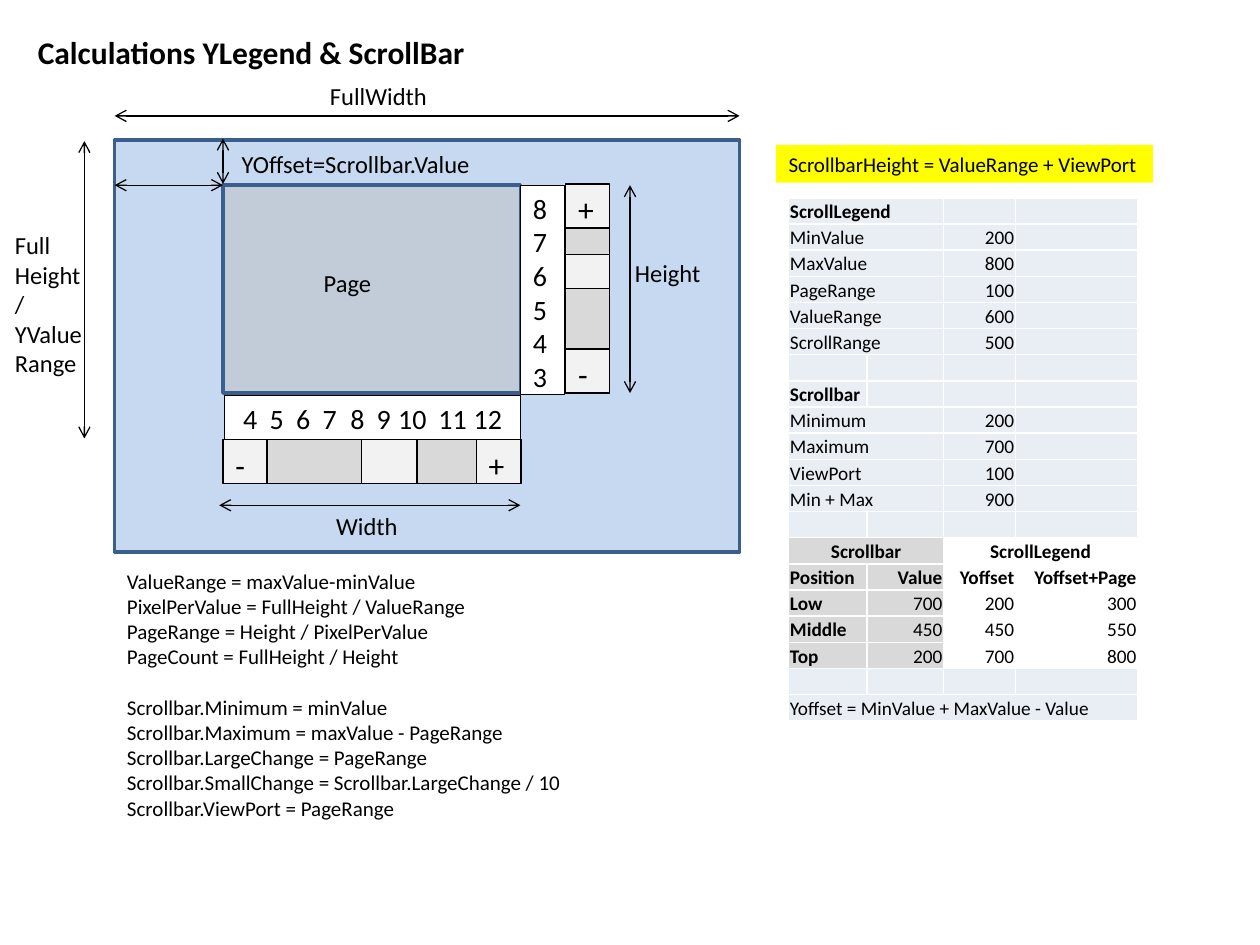
from lxml import etree
from pptx import Presentation
from pptx.dml.color import RGBColor
from pptx.enum.shapes import MSO_CONNECTOR, MSO_SHAPE
from pptx.enum.text import MSO_ANCHOR, MSO_AUTO_SIZE, PP_ALIGN
from pptx.oxml.ns import qn
from pptx.util import Inches, Pt

RECT, STRAIGHT = MSO_SHAPE.RECTANGLE, MSO_CONNECTOR.STRAIGHT
LEFT, CENTER, RIGHT = PP_ALIGN.LEFT, PP_ALIGN.CENTER, PP_ALIGN.RIGHT
TOP, BOTTOM = MSO_ANCHOR.TOP, MSO_ANCHOR.BOTTOM
FONT = "Calibri"
BLACK, WHITE, NAVY, SKY, SILVER = "000000", "FFFFFF", "3A5F8C", "C6D9F1", "C0C0C0"
TRACK, BUTTON, PALE, YELLOW = "D9D9D9", "F2F2F2", "E9EDF4", "FFFF00"

# Content
TITLE = "Calculations YLegend & ScrollBar"
X_TICKS = [("4", 0), ("5", 0.21), ("6", 0.42), ("7", 0.63), ("8", 0.85),
           ("9", 1.06), ("10", 1.23), ("11", 1.55), ("12", 1.83)]
Y_TICKS = ["8", "7", "6", "5", "4", "3"]
FORMULAS = [
    ["ValueRange = maxValue-minValue", "PixelPerValue = FullHeight / ValueRange",
     "PageRange = Height / PixelPerValue", "PageCount = FullHeight / Height"],
    ["Scrollbar.Minimum = minValue", "Scrollbar.Maximum = maxValue - PageRange",
     "Scrollbar.LargeChange = PageRange",
     "Scrollbar.SmallChange = Scrollbar.LargeChange / 10",
     "Scrollbar.ViewPort = PageRange"],
]
LABELS = [  # lines, left, top, width, height
    (["FullWidth"], 2.52, 0.59, 0.98, 0.34),
    (["Height"], 4.94, 2.0, 0.73, 0.34),
    (["Full", "Height", "/", "YValue", "Range"], 0.02, 1.78, 0.74, 1.28),
    (["YOffset=Scrollbar.Value"], 1.82, 1.13, 2.03, 0.34),
    (["Page"], 2.47, 2.08, 0.58, 0.34),
    (["Width"], 2.57, 4.01, 0.7, 0.34),
]
ARROWS = [  # x1, y1, x2, y2
    (1.77, 1.1, 1.77, 1.46), (0.91, 1.47, 1.77, 1.47), (1.74, 4.01, 4.13, 4.01),
    (5, 1.47, 5, 3.12), (0.91, 0.92, 5.87, 0.92), (0.67, 1.12, 0.67, 3.48),
]
COLS = [0.62, 0.61, 0.57, 0.97]
ROW_H = 0.2075
ROWS = [  # None continues the merged cell on its left
    ("ScrollLegend", None, "", ""),
    ("MinValue", None, "200", ""), ("MaxValue", None, "800", ""),
    ("PageRange", None, "100", ""), ("ValueRange", None, "600", ""),
    ("ScrollRange", None, "500", ""),
    ("", "", "", ""),
    ("Scrollbar", "", "", ""),
    ("Minimum", None, "200", ""), ("Maximum", None, "700", ""),
    ("ViewPort", None, "100", ""), ("Min + Max", None, "900", ""),
    ("", "", "", ""),
    ("Scrollbar", None, "ScrollLegend", None),
    ("Position", "Value", "Yoffset", "Yoffset+Page"),
    ("Low", "700", "200", "300"), ("Middle", "450", "450", "550"),
    ("Top", "200", "700", "800"),
    ("", "", "", ""),
    ("Yoffset = MinValue + MaxValue - Value", None, None, None),
]
GROUP_ROW, POSITIONS = 13, range(13, 18)
BOLD = {"ScrollLegend", "Scrollbar", "Position", "Value", "Yoffset",
        "Yoffset+Page", "Low", "Middle", "Top"}

prs = Presentation()
prs.slide_width, prs.slide_height = Inches(10), Inches(7.5)
s = prs.slides.add_slide(prs.slide_layouts[5])


def rgb(color):
    return RGBColor.from_string(color)


def box(*at):
    return [Inches(v) for v in at]


def format_par(p, size, bold=False, align=LEFT):
    p.alignment = align
    f = p.font
    f.name, f.size, f.bold = FONT, Pt(size), bold
    f.color.rgb = rgb(BLACK)


def write(sp, lines, size, wrap=False, bold=False):
    tf = sp.text_frame
    tf.text = "\n".join(lines)
    tf.word_wrap, tf.vertical_anchor = wrap, TOP
    tf.auto_size = MSO_AUTO_SIZE.NONE
    for p in tf.paragraphs:
        format_par(p, size, bold)
    return tf


def rect(at, fill, line=BLACK, width=0.75, lines=(), size=18):
    sp = s.shapes.add_shape(RECT, *box(*at))
    sp.shadow.inherit = False
    sp.fill.solid()
    sp.fill.fore_color.rgb = rgb(fill)
    if line:
        sp.line.color.rgb = rgb(line)
        sp.line.width = Pt(width)
    else:
        sp.line.fill.background()
    if lines:
        write(sp, lines, size)
    return sp


def arrow(x1, y1, x2, y2):
    c = s.shapes.add_connector(STRAIGHT, *box(x1, y1, x2, y2))
    c.line.color.rgb = rgb(BLACK)
    c.line.width = Pt(0.75)
    ln = c.line._get_or_add_ln()
    for end in ("a:headEnd", "a:tailEnd"):
        etree.SubElement(ln, qn(end), type="arrow")
    etree.SubElement(c._element.spPr, qn("a:effectLst"))


# Title
title = s.shapes.title
title.left, title.top, title.width, title.height = box(0.2, 0.21, 3.62, 0.4)
write(title, [TITLE], 18, bold=True)

# Full area, page and dimension arrows
rect((0.91, 1.11, 4.96, 3.27), SKY, NAVY, 2)
page = rect((1.77, 1.47, 2.36, 1.65), SILVER, NAVY, 2)
page_color = page._element.spPr.find(qn("a:solidFill"))[0]
etree.SubElement(page_color, qn("a:alpha"), val="50000")
for ends in ARROWS:
    arrow(*ends)

# Legends
rect((4.13, 1.47, 0.35, 1.66), WHITE, lines=Y_TICKS, size=16)
x_legend = rect((1.78, 3.14, 2.35, 0.35), WHITE,
                lines=["\t".join(t for t, _ in X_TICKS)], size=16)
x_legend.text_frame.margin_left = Inches(0.15)
pPr = x_legend.text_frame.paragraphs[0]._p.get_or_add_pPr()
tabs = etree.Element(qn("a:tabLst"))
for _, x in X_TICKS[1:]:
    etree.SubElement(tabs, qn("a:tab"), pos=str(Inches(x)), algn="l")
pPr.insert(0, tabs)

# Scroll bars: track, thumb and end buttons
rect((1.78, 3.49, 2.36, 0.35), TRACK)
rect((2.87, 3.49, 0.44, 0.35), BUTTON)
rect((4.49, 1.78, 0.35, 1.34), TRACK)
rect((4.49, 2.02, 0.35, 0.27), BUTTON)
for sign, x, y in [("+", 4.49, 1.46), ("-", 4.49, 2.77),
                   ("+", 3.78, 3.49), ("-", 1.77, 3.49)]:
    rect((x, y, 0.35, 0.35), BUTTON, lines=[sign])

# Labels and formulas
for lines, *at in LABELS:
    write(s.shapes.add_textbox(*box(*at)), lines, 14)
rect((6.16, 1.15, 2.99, 0.3), YELLOW, None,
     lines=["ScrollbarHeight = ValueRange + ViewPort"], size=12)
formulas = s.shapes.add_textbox(*box(0.91, 4.46, 8.9, 2.52))
tf = write(formulas, sum(FORMULAS, []), 12, wrap=True)
tf.paragraphs[len(FORMULAS[0])].space_before = Pt(14.5)

# Table
frame = s.shapes.add_table(len(ROWS), len(COLS),
                           *box(6.26, 1.57, sum(COLS), ROW_H * len(ROWS)))
table = frame.table
table.first_row = table.horz_banding = False
for col, width in zip(table.columns, COLS):
    col.width = Inches(width)
for i, row in enumerate(ROWS):
    table.rows[i].height = Inches(ROW_H)
    for j, text in enumerate(row):
        cell = table.cell(i, j)
        cell.margin_left = cell.margin_right = cell.margin_top = Inches(0.01)
        cell.margin_bottom = 0
        cell.vertical_anchor = BOTTOM
        cell.fill.solid()
        fill = (TRACK if j < 2 else WHITE) if i in POSITIONS else PALE
        cell.fill.fore_color.rgb = rgb(fill)
        p = cell.text_frame.paragraphs[0]
        if text:
            p.text = text
            align = CENTER if i == GROUP_ROW else RIGHT if j else LEFT
            format_par(p, 11, text in BOLD, align)
            span = 1
            while j + span < len(row) and row[j + span] is None:
                span += 1
            if span > 1:
                cell.merge(table.cell(i, j + span - 1))
        else:
            p._p.get_or_add_endParaRPr().set("sz", "1100")

prs.save("out.pptx")
